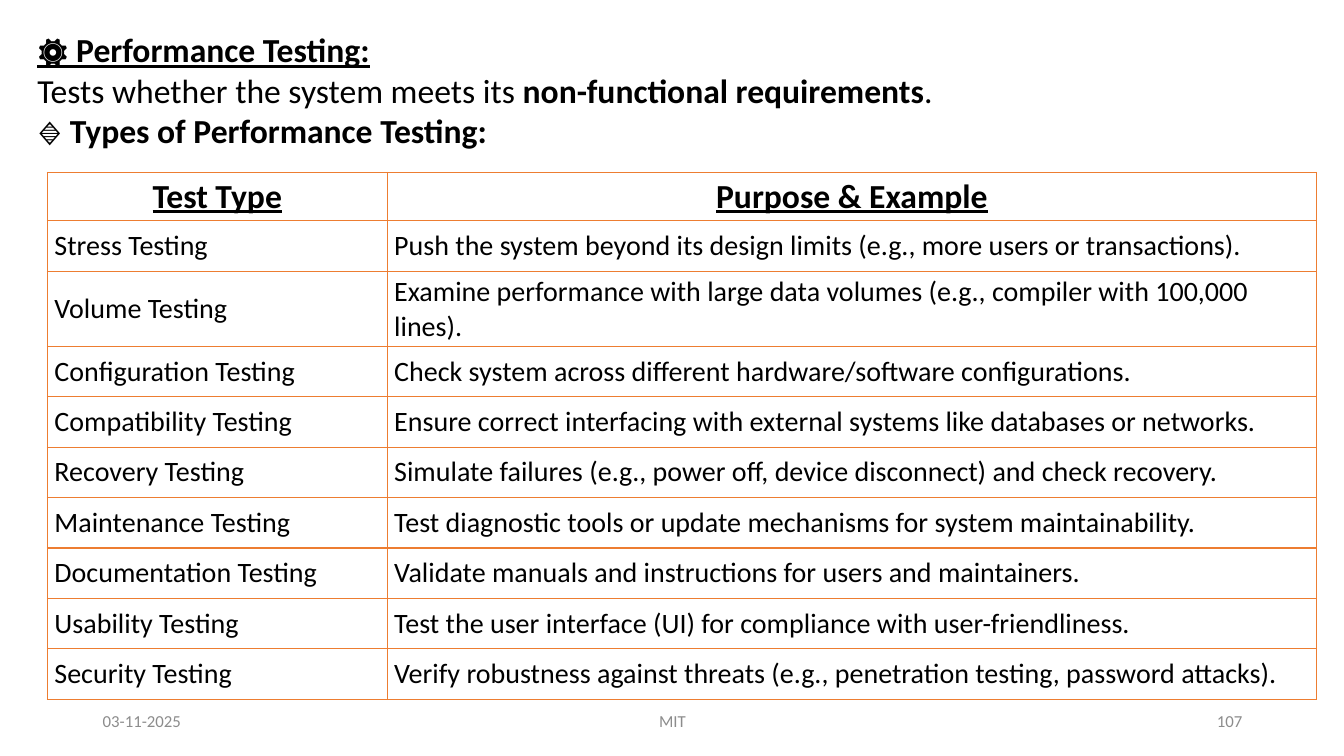
import pptx
import pptx.dml.color
import pptx.enum.text
import pptx.oxml
import pptx.oxml.ns
import pptx.util
from pptx.util import Inches

ALIGN = pptx.enum.text.PP_ALIGN
ANCHOR = pptx.enum.text.MSO_ANCHOR
FONT = "Calibri"
BLACK = "000000"
GREY = "8C8C8C"
ORANGE = "ED7D31"

HEADING = [
    [("⚙️ Performance Testing:", True, True)],
    [
        ("Tests whether the system meets its ", False, False),
        ("non-functional requirements", True, False),
        (".", False, False),
    ],
    [("🔹 Types of Performance Testing:", True, False)],
]
TESTS = [
    ("Test Type", "Purpose & Example"),
    ("Stress Testing", "Push the system beyond its design limits (e.g., more users or transactions)."),
    ("Volume Testing", "Examine performance with large data volumes (e.g., compiler with 100,000 lines)."),
    ("Configuration Testing", "Check system across different hardware/software configurations."),
    ("Compatibility Testing", "Ensure correct interfacing with external systems like databases or networks."),
    ("Recovery Testing", "Simulate failures (e.g., power off, device disconnect) and check recovery."),
    ("Maintenance Testing", "Test diagnostic tools or update mechanisms for system maintainability."),
    ("Documentation Testing", "Validate manuals and instructions for users and maintainers."),
    ("Usability Testing", "Test the user interface (UI) for compliance with user-friendliness."),
    ("Security Testing", "Verify robustness against threats (e.g., penetration testing, password attacks)."),
]
FOOTER = [
    ("03-11-2025", 0.92, 3, ALIGN.LEFT),
    ("MIT", 4.42, 4.5, ALIGN.CENTER),
    ("107", 9.42, 3, ALIGN.RIGHT),
]


def rgb(value):
    return pptx.dml.color.RGBColor.from_string(value)


def style(font, size, color=BLACK, bold=False, underline=False):
    font.name = FONT
    font.size = pptx.util.Pt(size)
    font.color.rgb = rgb(color)
    font.bold = bold
    font.underline = underline


def set_heading(sp):
    sp.left, sp.top = Inches(0.27), Inches(0.24)
    sp.width, sp.height = Inches(12.78), Inches(1.31)
    tf = sp.text_frame
    tf.word_wrap = True
    tf.auto_size = pptx.enum.text.MSO_AUTO_SIZE.SHAPE_TO_FIT_TEXT
    tf.vertical_anchor = ANCHOR.TOP
    for i, parts in enumerate(HEADING):
        p = tf.paragraphs[0] if i == 0 else tf.add_paragraph()
        p.alignment = ALIGN.JUSTIFY
        for text, bold, underline in parts:
            r = p.add_run()
            r.text = text
            style(r.font, 24, bold=bold, underline=underline)


def set_borders(cell, color, width):
    tcPr = cell._tc.get_or_add_tcPr()
    for i, side in enumerate(("lnL", "lnR", "lnT", "lnB")):
        tcPr.insert(i, pptx.oxml.parse_xml(
            f'<a:{side} {pptx.oxml.ns.nsdecls("a")} w="{pptx.util.Pt(width)}">'
            f'<a:solidFill><a:srgbClr val="{color}"/></a:solidFill></a:{side}>'
        ))


def set_cell(cell, text, header):
    cell.fill.background()
    set_borders(cell, ORANGE, 1)
    cell.vertical_anchor = ANCHOR.MIDDLE
    cell.margin_left = cell.margin_right = Inches(0.07)
    cell.margin_top = cell.margin_bottom = Inches(0.04)
    cell.text_frame.text = text
    p = cell.text_frame.paragraphs[0]
    p.alignment = ALIGN.CENTER if header else ALIGN.LEFT
    style(p.runs[0].font, 24 if header else 20, bold=header, underline=header)


def add_tests_table(s):
    table = s.shapes.add_table(
        len(TESTS), 2, Inches(0.47), Inches(1.71), Inches(12.59), Inches(5.19)
    ).table
    table.first_row = table.horz_banding = False
    for column, width in zip(table.columns, (3.37, 9.22)):
        column.width = Inches(width)
    for i, texts in enumerate(TESTS):
        table.rows[i].height = Inches(0.28 if i == 0 else 0.5)
        for j, text in enumerate(texts):
            set_cell(table.cell(i, j), text, header=i == 0)


def add_footer(s, text, left, width, align):
    tf = s.shapes.add_textbox(Inches(left), Inches(6.95), Inches(width), Inches(0.4)).text_frame
    tf.word_wrap = True
    tf.vertical_anchor = ANCHOR.MIDDLE
    tf.text = text
    p = tf.paragraphs[0]
    p.alignment = align
    style(p.runs[0].font, 12, GREY)


def main():
    prs = pptx.Presentation()
    prs.slide_width, prs.slide_height = Inches(13.33), Inches(7.5)
    s = prs.slides.add_slide(prs.slide_layouts[5])
    set_heading(s.shapes.title)
    add_tests_table(s)
    for item in FOOTER:
        add_footer(s, *item)
    prs.save("out.pptx")


if __name__ == "__main__":
    main()
